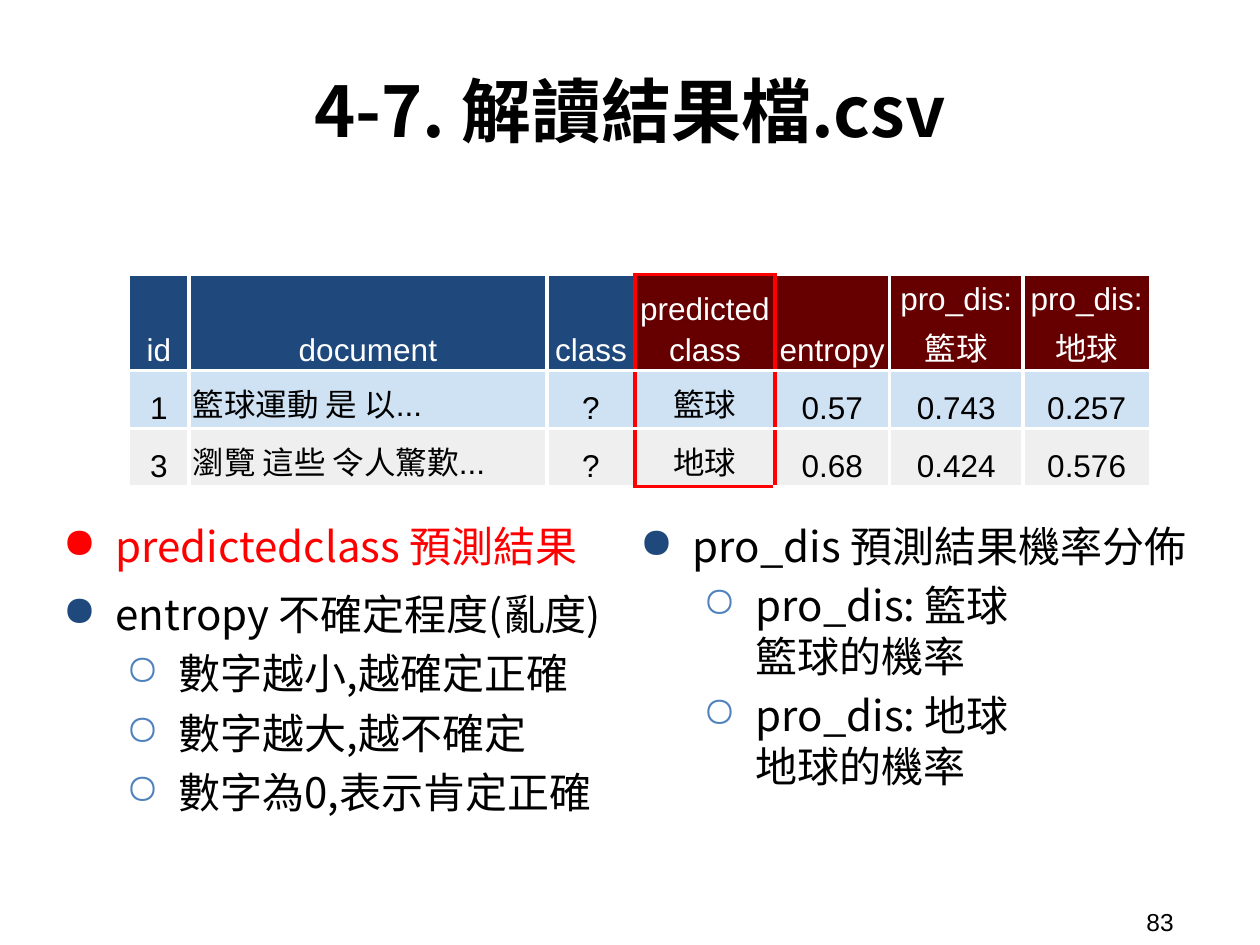
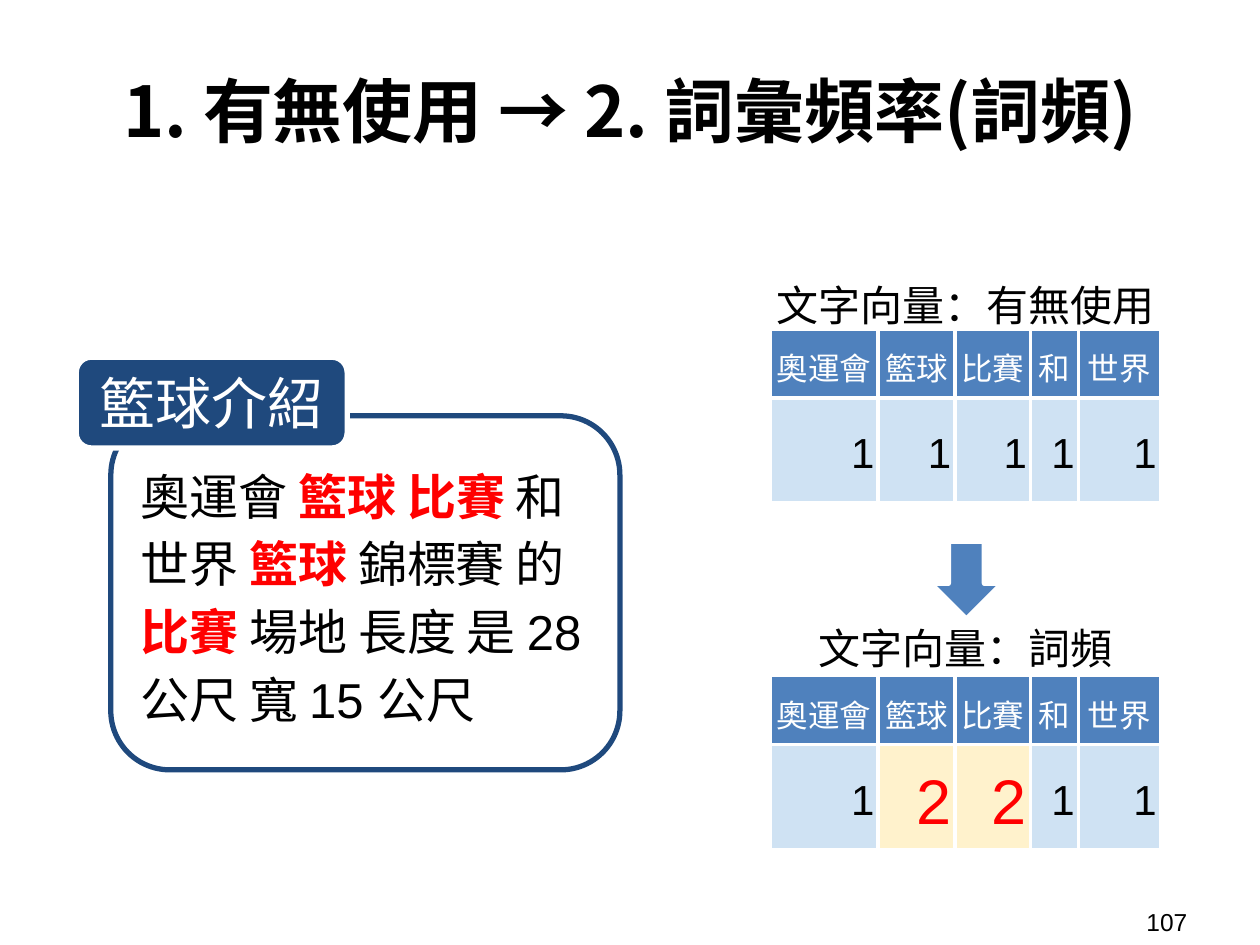
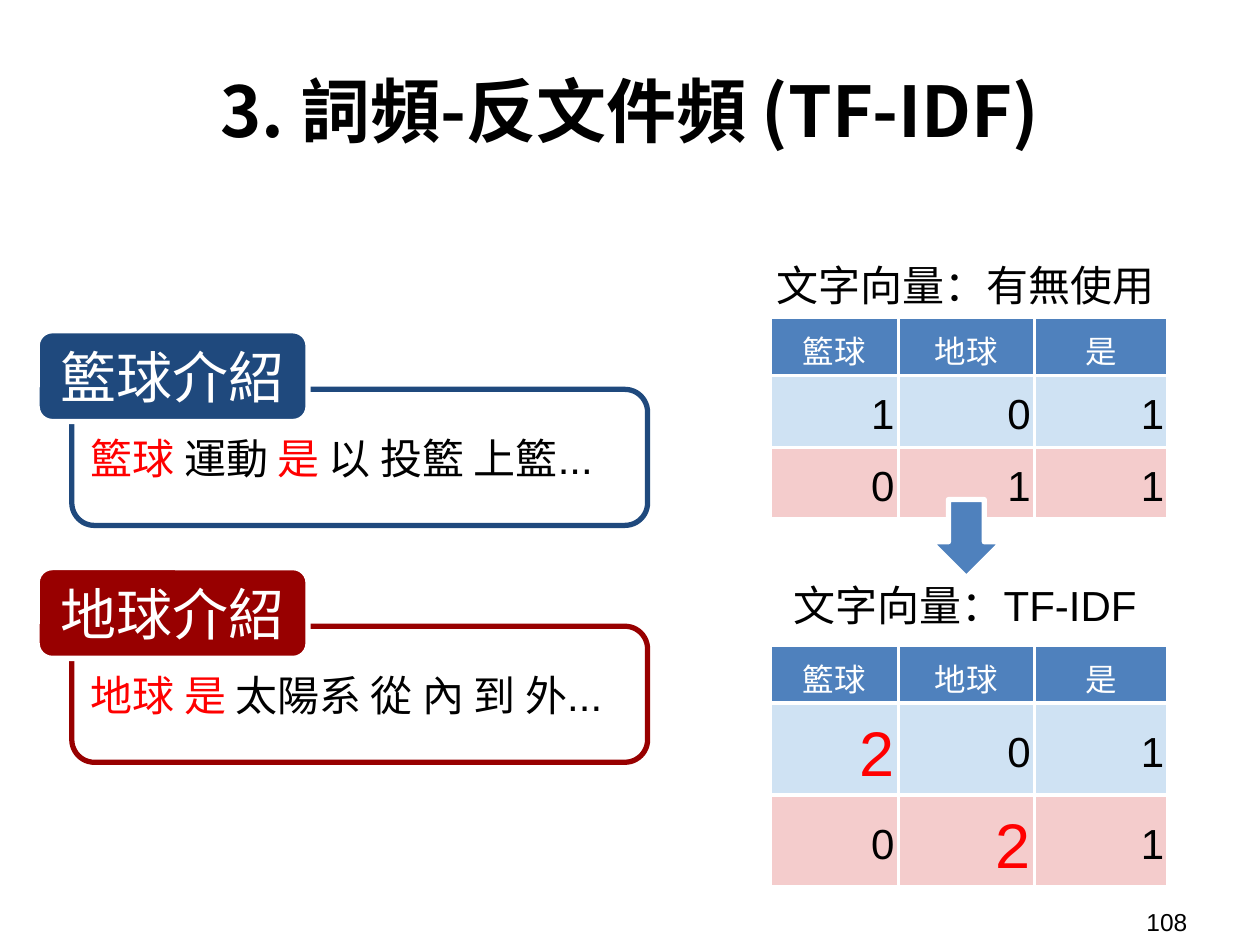
from dataclasses import dataclass

from pptx import Presentation
from pptx.dml.color import RGBColor
from pptx.enum.shapes import MSO_SHAPE
from pptx.enum.text import MSO_ANCHOR, PP_ALIGN
from pptx.oxml.ns import qn
from pptx.oxml.xmlchemy import OxmlElement
from pptx.util import Inches, Pt


@dataclass(frozen=True)
class Theme:
    black: str = "000000"
    white: str = "FFFFFF"
    red: str = "FF0000"
    navy: str = "1F497D"
    blue: str = "4F81BD"
    maroon: str = "660000"
    crimson: str = "980000"
    pale_blue: str = "CFE2F3"
    pale_red: str = "F4CCCC"
    pale_yellow: str = "FFF2CC"
    pale_gray: str = "EFEFEF"
    heading_font: str = "Noto Sans CJK TC"
    body_font: str = "Arial"
    title: int = 40
    highlight: int = 36
    label: int = 32
    document: int = 28
    body: int = 24
    cell: int = 18
    footer: int = 14
    outline: float = 3
    border: float = 2.25


THEME = Theme()
SLIDE_WIDTH, SLIDE_HEIGHT = Inches(10), Inches(7.5)
COLUMN = SLIDE_WIDTH / 100
ROW = SLIDE_HEIGHT / 75
VECTOR_LEFT = 61.1
LABEL_SIZE = (21.5, 7.2)
LABEL_OFFSET = (2.75, 4.65)


def columns(count):
    return round(count * COLUMN)


def rows(count):
    return round(count * ROW)


def place(left, top, width, height):
    return columns(left), rows(top), columns(width), rows(height)


def rgb(value):
    return RGBColor.from_string(value)


def set_margins(target, horizontal, vertical):
    target.margin_left = target.margin_right = Inches(horizontal)
    target.margin_top = target.margin_bottom = Inches(vertical)


def set_bullet(para, symbol, color, left):
    properties = para._p.get_or_add_pPr()
    properties.set("marL", str(Inches(left)))
    properties.set("indent", str(Inches(-0.42)))
    bullet_color = OxmlElement("a:buClr")
    swatch = OxmlElement("a:srgbClr")
    swatch.set("val", color)
    bullet_color.append(swatch)
    bullet = OxmlElement("a:buChar")
    bullet.set("char", symbol)
    properties.append(bullet_color)
    properties.append(bullet)


def write(para, text, *, size=THEME.body, color=THEME.black, font=THEME.body_font,
          bold=False, emphasis_bold=False, align=PP_ALIGN.LEFT, spacing=1.0, before=0):
    """Write text in which | switches red emphasis on and off and a newline breaks the line."""
    para.alignment = align
    para.line_spacing = spacing
    para.space_before = Pt(before)
    for index, part in enumerate(text.split("|")):
        emphasized = index % 2 == 1
        for number, line in enumerate(part.split("\n")):
            if number:
                para.add_line_break()
            if not line:
                continue
            span = para.add_run()
            span.text = line
            span.font.size = Pt(size)
            span.font.name = font
            span.font.bold = emphasis_bold if emphasized else bold
            span.font.color.rgb = rgb(THEME.red if emphasized else color)
            east_asian = OxmlElement("a:ea")
            east_asian.set("typeface", THEME.heading_font)
            span.font._element.find(qn("a:latin")).addnext(east_asian)


def add_text(page, area, text="", *, anchor=MSO_ANCHOR.TOP, vertical=0.1, **style):
    frame = page.shapes.add_textbox(*place(*area)).text_frame
    frame.word_wrap = True
    frame.vertical_anchor = anchor
    set_margins(frame, 0.1, vertical)
    write(frame.paragraphs[0], text, **style)
    return frame


def add_block(page, preset, area, fill, line, text="", **style):
    shape = page.shapes.add_shape(preset, *place(*area))
    shape.shadow.inherit = False
    shape.fill.solid()
    shape.fill.fore_color.rgb = rgb(fill)
    shape.line.color.rgb = rgb(line)
    shape.line.width = Pt(THEME.outline)
    frame = shape.text_frame
    frame.word_wrap = True
    frame.vertical_anchor = MSO_ANCHOR.MIDDLE
    set_margins(frame, 0.1, 0.1)
    write(frame.paragraphs[0], text, **style)


def add_page(deck, title, number):
    page = deck.slides.add_slide(deck.slide_layouts[6])
    add_text(page, (90, 71.7, 9.2, 2.9), str(number), anchor=MSO_ANCHOR.MIDDLE,
             vertical=0.05, size=THEME.footer)
    add_text(page, (5.2, 1.9, 89.6, 13.6), title, anchor=MSO_ANCHOR.MIDDLE,
             size=THEME.title, font=THEME.heading_font, bold=True, align=PP_ALIGN.CENTER)
    return page


def add_bullets(page, area, items):
    """Fill a box with (level, text) items; emphasized items get a red bullet."""
    frame = add_text(page, area)
    for index, (level, text) in enumerate(items):
        para = frame.add_paragraph() if index else frame.paragraphs[0]
        para.level = level
        if level:
            symbol, color, spacing, before = "○", THEME.blue, 1.0, 5.2
        else:
            symbol, spacing, before = "●", 1.15, 5.6
            color = THEME.red if text.startswith("|") else THEME.navy
        write(para, text, font=THEME.heading_font, spacing=spacing,
              before=before if index else 0)
        set_bullet(para, symbol, color, 0.5 + 0.5 * level)


def set_border(cell, side, color):
    line = OxmlElement(f"a:ln{side}")
    line.set("w", str(Pt(THEME.border)))
    fill = OxmlElement("a:solidFill")
    swatch = OxmlElement("a:srgbClr")
    swatch.set("val", color)
    fill.append(swatch)
    line.append(fill)
    cell._tc.get_or_add_tcPr().append(line)


def red_sides(row, column, last_row, framed):
    """Name the sides of a cell that lie on the frame around one column."""
    if framed is None:
        return ""
    if column == framed:
        return "LR" + "T" * (row == 0) + "B" * (row == last_row)
    return {framed - 1: "R", framed + 1: "L"}.get(column, "")


def add_grid(page, left, top, widths, heights, values, cell_style, framed=None):
    """Add a table; cell_style(row, column, text) gives fill, anchor and text format."""
    table = page.shapes.add_table(len(heights), len(widths), *place(
        left, top, sum(widths), sum(heights))).table
    table.first_row = table.horz_banding = False
    for column, width in zip(table.columns, widths):
        column.width = columns(width)
    for row, height in zip(table.rows, heights):
        row.height = rows(height)
    for row_index, texts in enumerate(values):
        for column_index, text in enumerate(texts):
            cell = table.cell(row_index, column_index)
            fill, anchor, style = cell_style(row_index, column_index, text)
            set_margins(cell, 0.03, 0.02)
            cell.vertical_anchor = anchor
            red = red_sides(row_index, column_index, len(values) - 1, framed)
            for side in "LRTB":
                set_border(cell, side, THEME.red if side in red else THEME.white)
            cell.fill.solid()
            cell.fill.fore_color.rgb = rgb(fill)
            write(cell.text_frame.paragraphs[0], text, spacing=1.15, **style)


def result_style(row, column, text):
    header = row == 0
    if header:
        fill = THEME.navy if column < 3 else THEME.maroon
    else:
        fill = THEME.pale_blue if row == 1 else THEME.pale_gray
    align = PP_ALIGN.LEFT if column == 1 and not header else PP_ALIGN.CENTER
    return fill, MSO_ANCHOR.BOTTOM, dict(
        size=THEME.cell, color=THEME.white if header else THEME.black, align=align)


def add_vector(page, caption, caption_top, top, widths, heights, values, tint=None):
    """Add a captioned word vector; weights of 2 stand out, on tint if given."""
    def vector_style(row, column, text):
        if row == 0:
            return THEME.blue, MSO_ANCHOR.MIDDLE, dict(
                size=THEME.cell, color=THEME.white, align=PP_ALIGN.CENTER)
        raised = text == "2"
        fill = THEME.pale_blue if row == 1 else THEME.pale_red
        return tint if raised and tint else fill, MSO_ANCHOR.MIDDLE, dict(
            size=THEME.highlight if raised else THEME.body,
            color=THEME.red if raised else THEME.black, align=PP_ALIGN.RIGHT)

    add_grid(page, VECTOR_LEFT, top, widths, heights, values, vector_style)
    add_text(page, (59.7, caption_top, 33.8, 4.4), caption, align=PP_ALIGN.CENTER)


def add_down_arrow(page, top):
    add_block(page, MSO_SHAPE.DOWN_ARROW, (73.85, top, 5.7, 6.2), THEME.blue, THEME.white)


def add_document(page, area, label, text, color, **style):
    """Add an outlined document with a filled label over its top left corner."""
    left, top = area[:2]
    add_block(page, MSO_SHAPE.ROUNDED_RECTANGLE, area, THEME.white, color, text, **style)
    add_block(page, MSO_SHAPE.ROUNDED_RECTANGLE,
              (left - LABEL_OFFSET[0], top - LABEL_OFFSET[1], *LABEL_SIZE),
              color, THEME.white, label,
              size=THEME.label, color=THEME.white, align=PP_ALIGN.CENTER)


def build_result_page(deck):
    page = add_page(deck, "4-7. 解讀結果檔.csv", 83)
    add_grid(page, 10.2, 21.8, [4.8, 28.4, 7, 11.1, 9.1, 10.6, 10.1], [7.6, 4.6, 4.6], [
        ["id", "document", "class", "predicted\nclass", "entropy",
         "pro_dis: 籃球", "pro_dis: 地球"],
        ["1", "籃球運動 是 以...", "?", "籃球", "0.57", "0.743", "0.257"],
        ["3", "瀏覽 這些 令人驚歎...", "?", "地球", "0.68", "0.424", "0.576"],
    ], result_style, framed=3)
    add_bullets(page, (3.2, 39.7, 46.6, 31.4), [
        (0, "|predictedclass 預測結果"),
        (0, "entropy 不確定程度(亂度)"),
        (1, "數字越小,越確定正確"),
        (1, "數字越大,越不確定"),
        (1, "數字為0,表示肯定正確"),
    ])
    add_bullets(page, (49, 39.7, 46.6, 31.4), [
        (0, "pro_dis 預測結果機率分佈"),
        (1, "pro_dis: 籃球\n籃球的機率"),
        (1, "pro_dis: 地球\n地球的機率"),
    ])


def build_frequency_page(deck):
    page = add_page(deck, "1. 有無使用 → 2. 詞彙頻率(詞頻)", 107)
    add_document(page, (8.8, 33, 40.4, 28.1), "籃球介紹",
                 "奧運會 |籃球 比賽| 和 世界 |籃球| 錦標賽 的 |比賽| 場地 長度 是 28 公尺 寬 15 公尺",
                 THEME.navy, size=THEME.document, emphasis_bold=True, spacing=1.15)
    words = ["奧運會", "籃球", "比賽", "和", "世界"]
    widths, heights = [8.6, 6.1, 6, 3.8, 6.5], [5.5, 8.3]
    add_vector(page, "文字向量：有無使用", 21.2, 26.1, widths, heights, [words, "11111"])
    add_vector(page, "文字向量：詞頻", 48.4, 53.6, widths, heights, [words, "12211"],
               tint=THEME.pale_yellow)
    add_down_arrow(page, 42.95)


def build_weight_page(deck):
    page = add_page(deck, "3. 詞頻-反文件頻 (TF-IDF)", 108)
    documents = [
        ("籃球介紹", "|籃球| 運動 |是| 以 投籃 上籃...", THEME.navy),
        ("地球介紹", "|地球 是| 太陽系 從 內 到 外...", THEME.crimson),
    ]
    for index, (label, text, color) in enumerate(documents):
        add_document(page, (5.7, 30.9 + 18.8 * index, 45.7, 10.8), label, text, color)
    words = ["籃球", "地球", "是"]
    widths = [10.2, 10.8, 10.6]
    add_vector(page, "文字向量：有無使用", 19.6, 25.2, widths, [4.6, 5.7, 5.7],
               [words, "101", "011"])
    add_vector(page, "文字向量：TF-IDF", 45, 51.2, widths, [4.6, 6.8, 6.8],
               [words, "201", "021"])
    add_down_arrow(page, 39.65)


def main():
    deck = Presentation()
    deck.slide_width, deck.slide_height = SLIDE_WIDTH, SLIDE_HEIGHT
    build_result_page(deck)
    build_frequency_page(deck)
    build_weight_page(deck)
    deck.save("out.pptx")


if __name__ == "__main__":
    main()
